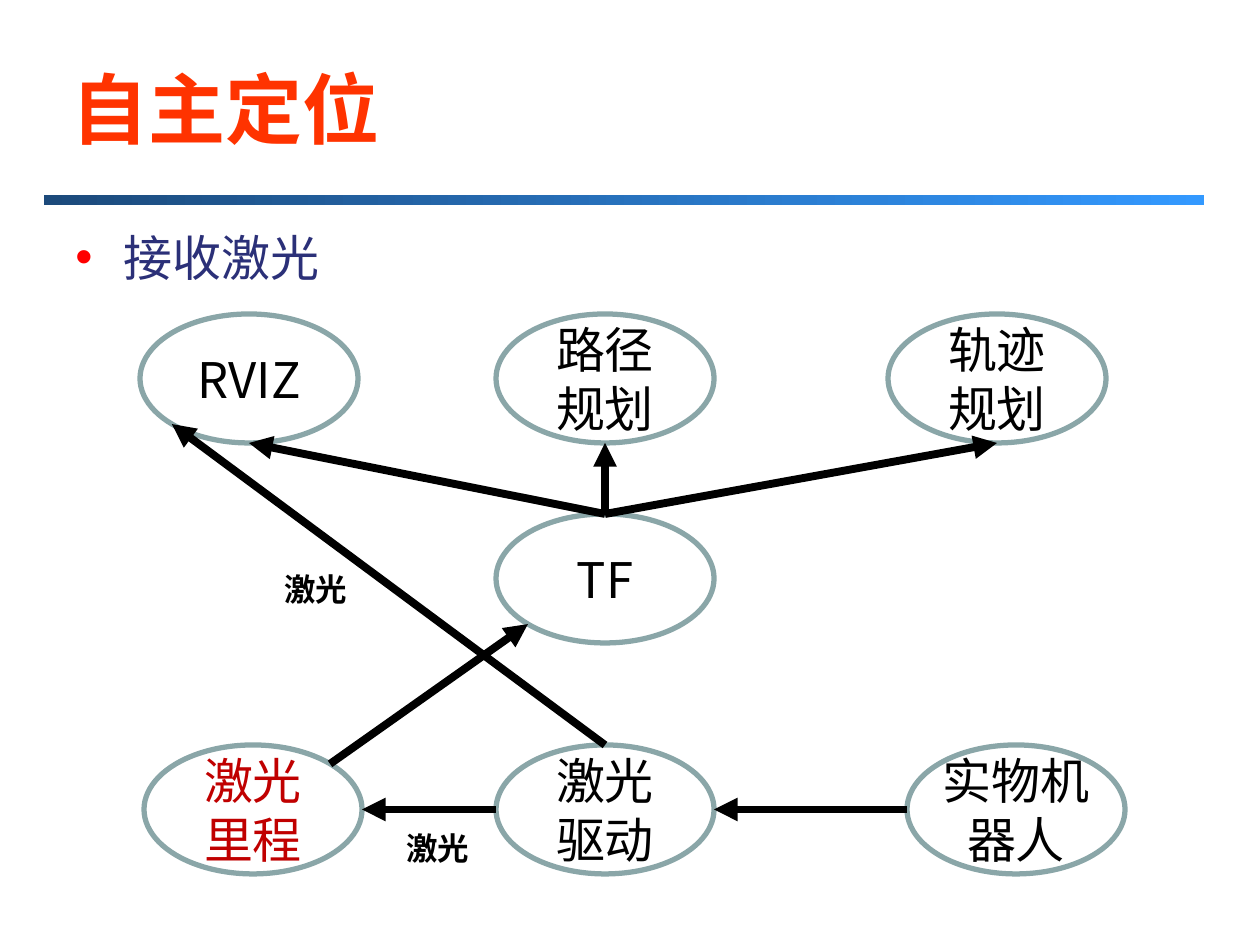
from dataclasses import dataclass
from math import sqrt
from lxml import etree
from pptx import Presentation
from pptx import util as u
from pptx.dml.color import RGBColor
from pptx.enum import shapes, text
from pptx.oxml.ns import qn

SCALE = 914400 / 126  # EMU per pixel


@dataclass(frozen=True)
class Theme:
    heading_font: str = "Arial"
    diagram_font: str = "Noto Sans CJK SC"
    title: str = "FF3300"
    body: str = "2B3078"
    bullet: str = "FF0000"
    ink: str = "000000"
    accent: str = "C00000"
    outline: str = "8AA6A8"
    bar_start: str = "1C4A7B"
    bar_end: str = "3399FF"
    title_size: int = 44
    body_size: int = 28
    label_size: int = 18
    outline_width: int = 3
    arrow_width: float = 4.5


def px(*lengths):
    return [u.Emu(round(n * SCALE)) for n in lengths]


def rgb(value):
    return RGBColor.from_string(value)


def assign(target, values):
    for key, value in values.items():
        setattr(target, key, value)


class Diagram:
    NODE_W, NODE_H = 218, 129

    def __init__(self, slide, theme):
        self.slide, self.theme = slide, theme

    def fill_text(self, shape, words, size, color, font, frame=None, para=None, bold=False):
        assign(shape.text_frame, {"word_wrap": True, **(frame or {})})
        paragraph = shape.text_frame.paragraphs[0]
        assign(paragraph, para or {})
        run = paragraph.add_run()
        run.text = words
        assign(run.font, {"size": u.Pt(size), "bold": bold, "name": font})
        run.font.color.rgb = rgb(color)
        east_asian = etree.SubElement(run.font._element, qn("a:ea"))
        east_asian.set("typeface", self.theme.diagram_font)
        return paragraph

    def text(self, box, words, size, color, font, **style):
        return self.fill_text(self.slide.shapes.add_textbox(*px(*box)),
                              words, size, color, font, **style)

    def bullet(self, box, words):
        paragraph = self.text(box, words, self.theme.body_size, self.theme.body,
                              self.theme.heading_font, para={"space_before": u.Pt(13.2)})
        props = paragraph._p.get_or_add_pPr()
        indent = px(48)[0]
        props.set("marL", str(indent))
        props.set("indent", str(-indent))
        color = etree.SubElement(props, qn("a:buClr"))
        etree.SubElement(color, qn("a:srgbClr")).set("val", self.theme.bullet)
        etree.SubElement(props, qn("a:buFont")).set("typeface", self.theme.heading_font)
        etree.SubElement(props, qn("a:buChar")).set("char", "•")

    def bar(self, box):
        bar = self.slide.shapes.add_shape(shapes.MSO_SHAPE.RECTANGLE, *px(*box))
        bar.shadow.inherit = False
        bar.line.fill.background()
        bar.fill.gradient()
        bar.fill.gradient_angle = 0
        colors = (self.theme.bar_start, self.theme.bar_end)
        for stop, position, color in zip(bar.fill.gradient_stops, (0, 1), colors):
            stop.position = position
            stop.color.rgb = rgb(color)

    def node(self, left, top, words, color=None, filled=False, side_inset=13):
        node = self.slide.shapes.add_shape(
            shapes.MSO_SHAPE.OVAL, *px(left, top, self.NODE_W, self.NODE_H))
        node.shadow.inherit = False
        if filled:
            node.fill.solid()
            node.fill.fore_color.rgb = rgb("FFFFFF")
        else:
            node.fill.background()
        node.line.color.rgb = rgb(self.theme.outline)
        node.line.width = u.Pt(self.theme.outline_width)
        inset = px(side_inset)[0]
        self.fill_text(node, words, self.theme.body_size, color or self.theme.ink,
                       self.theme.diagram_font,
                       frame={"vertical_anchor": text.MSO_ANCHOR.MIDDLE,
                              "margin_left": inset, "margin_right": inset},
                       para={"alignment": text.PP_ALIGN.CENTER})
        return left + self.NODE_W / 2, top + self.NODE_H / 2

    def rim(self, center, direction):
        """Point where a direction (x, y) from the centre meets the ellipse."""
        x, y = direction
        reach = sqrt(x * x + y * y)
        return (center[0] + x / reach * self.NODE_W / 2,
                center[1] + y / reach * self.NODE_H / 2)

    def arrow(self, source, leaving, target, entering):
        ends = px(*self.rim(source, leaving), *self.rim(target, entering))
        arrow = self.slide.shapes.add_connector(shapes.MSO_CONNECTOR.STRAIGHT, *ends)
        arrow.line.color.rgb = rgb(self.theme.ink)
        arrow.line.width = u.Pt(self.theme.arrow_width)
        outline = arrow._element.spPr.find(qn("a:ln"))
        etree.SubElement(outline, qn("a:tailEnd")).set("type", "triangle")
        etree.SubElement(arrow._element.spPr, qn("a:effectLst"))


presentation = Presentation()
assign(presentation, {"slide_width": u.Inches(10), "slide_height": u.Inches(7.5)})
theme = Theme()
slide = presentation.slides.add_slide(presentation.slide_layouts[6])
diagram = Diagram(slide, theme)

# Heading
diagram.bar((44, 195, 1160, 10))
diagram.text((59, 29, 1134, 158), "自主定位", theme.title_size, theme.title,
             theme.heading_font, bold=True,
             frame={"vertical_anchor": text.MSO_ANCHOR.MIDDLE})
diagram.bullet((63, 221, 1134, 624), "接收激光")

# Nodes: consumers above, transforms between, sources below
MIDDLE_LEFT = 496
CONSUMERS, TRANSFORMS, SOURCES = 314, 514, 745
tf = diagram.node(MIDDLE_LEFT, TRANSFORMS, "TF")
robot = diagram.node(907, SOURCES, "实物机器人", side_inset=0)
driver = diagram.node(MIDDLE_LEFT, SOURCES, "激光驱动")
odometry = diagram.node(144, SOURCES, "激光里程", theme.accent, filled=True)
rviz = diagram.node(140, CONSUMERS, "RVIZ", filled=True)
trajectory = diagram.node(888, CONSUMERS, "轨迹规划", filled=True)
route = diagram.node(MIDDLE_LEFT, CONSUMERS, "路径规划", filled=True)

# Data flow
UP, DOWN, LEFT, RIGHT = (0, -1), (0, 1), (-1, 0), (1, 0)
UP_RIGHT, DOWN_LEFT = (1, -1), (-1, 1)
for flow in (
    (odometry, UP_RIGHT, tf, DOWN_LEFT),
    (robot, LEFT, driver, RIGHT),
    (driver, LEFT, odometry, RIGHT),
    (tf, UP, rviz, DOWN),
    (tf, UP, trajectory, DOWN),
    (tf, UP, route, DOWN),
    (driver, UP, rviz, DOWN_LEFT),
):
    diagram.arrow(*flow)

# Flow labels
for left, top in ((272, 564), (394, 823)):
    diagram.text((left, top, 112, 50), "激光", theme.label_size, theme.ink,
                 theme.diagram_font, bold=True)

presentation.save("out.pptx")
